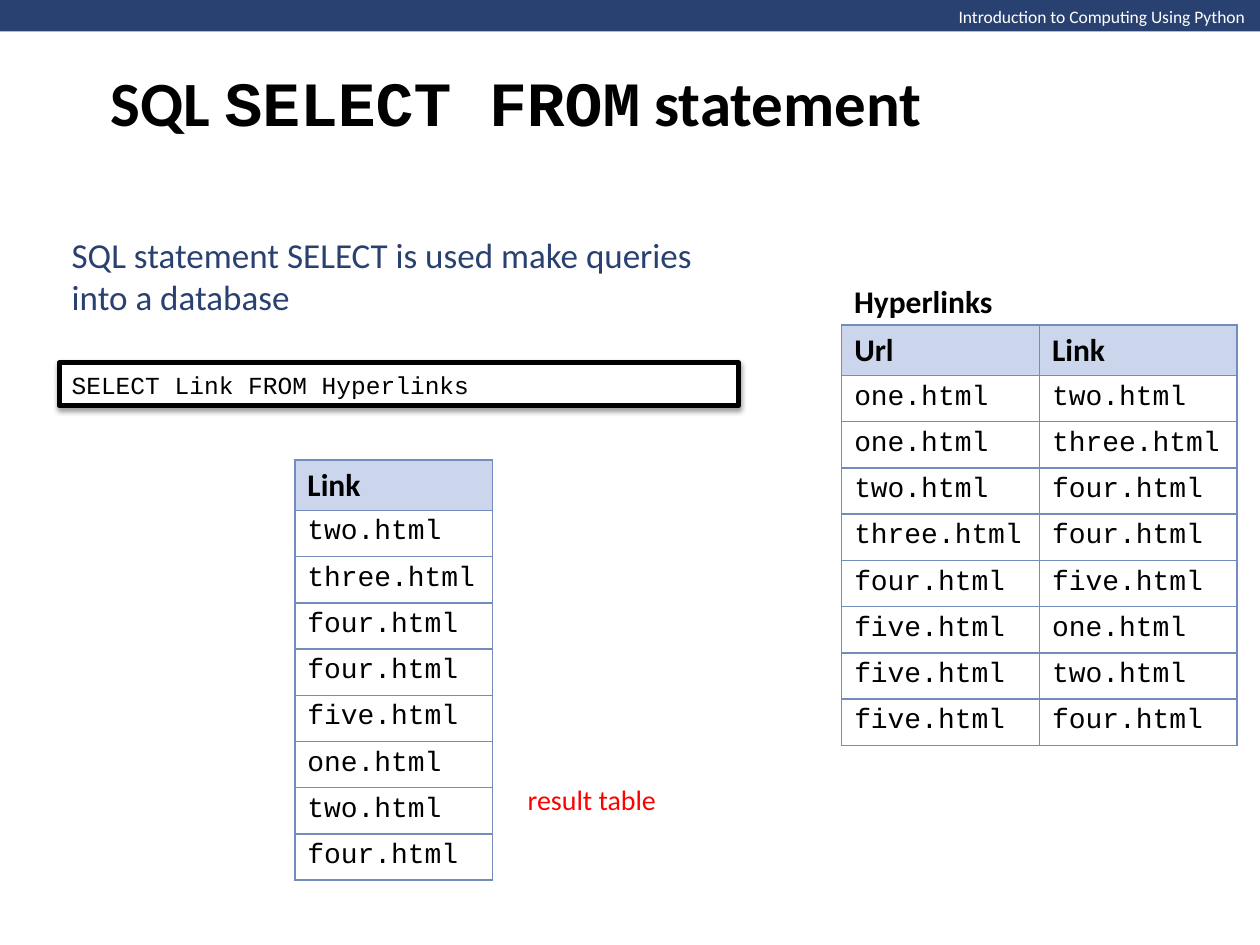
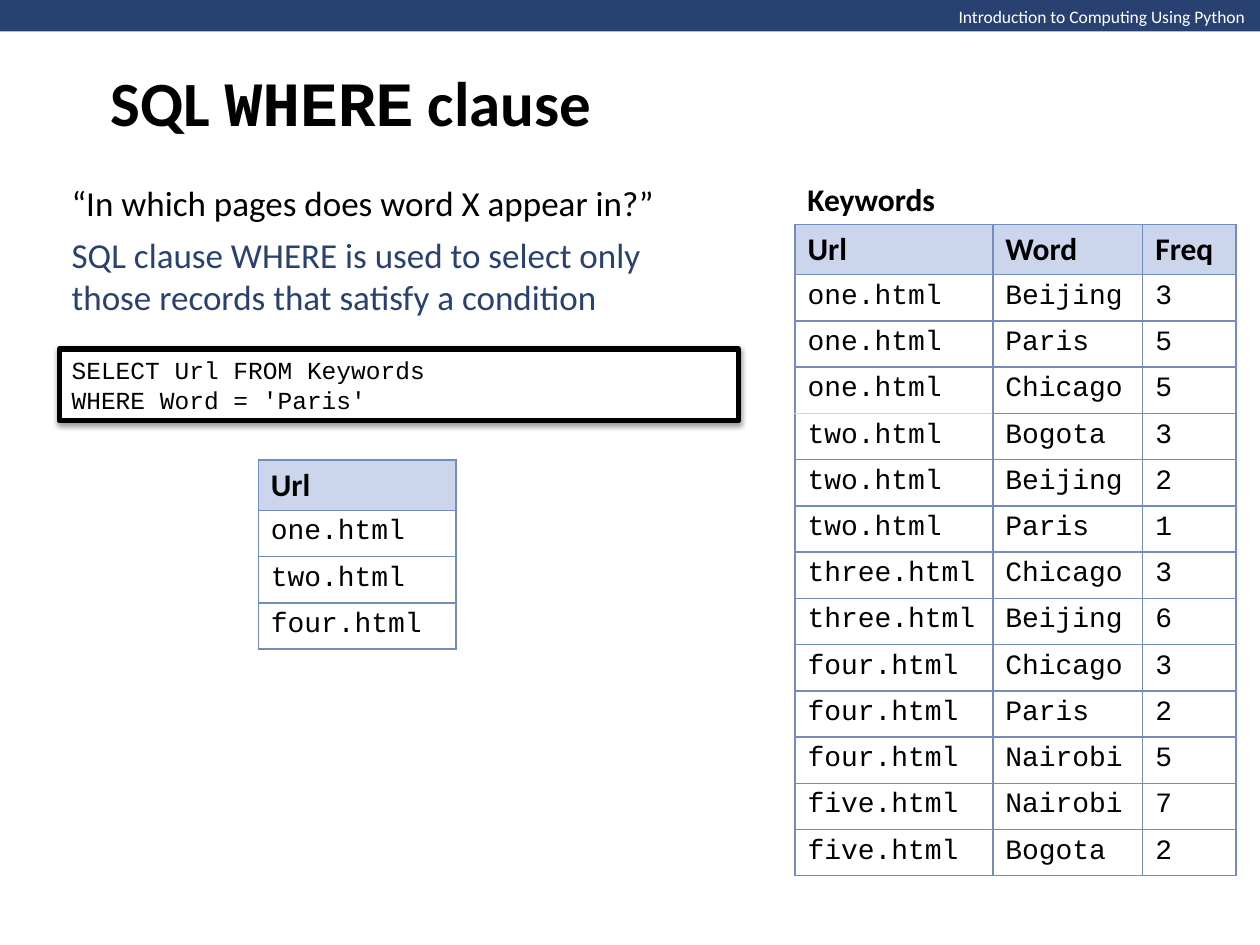
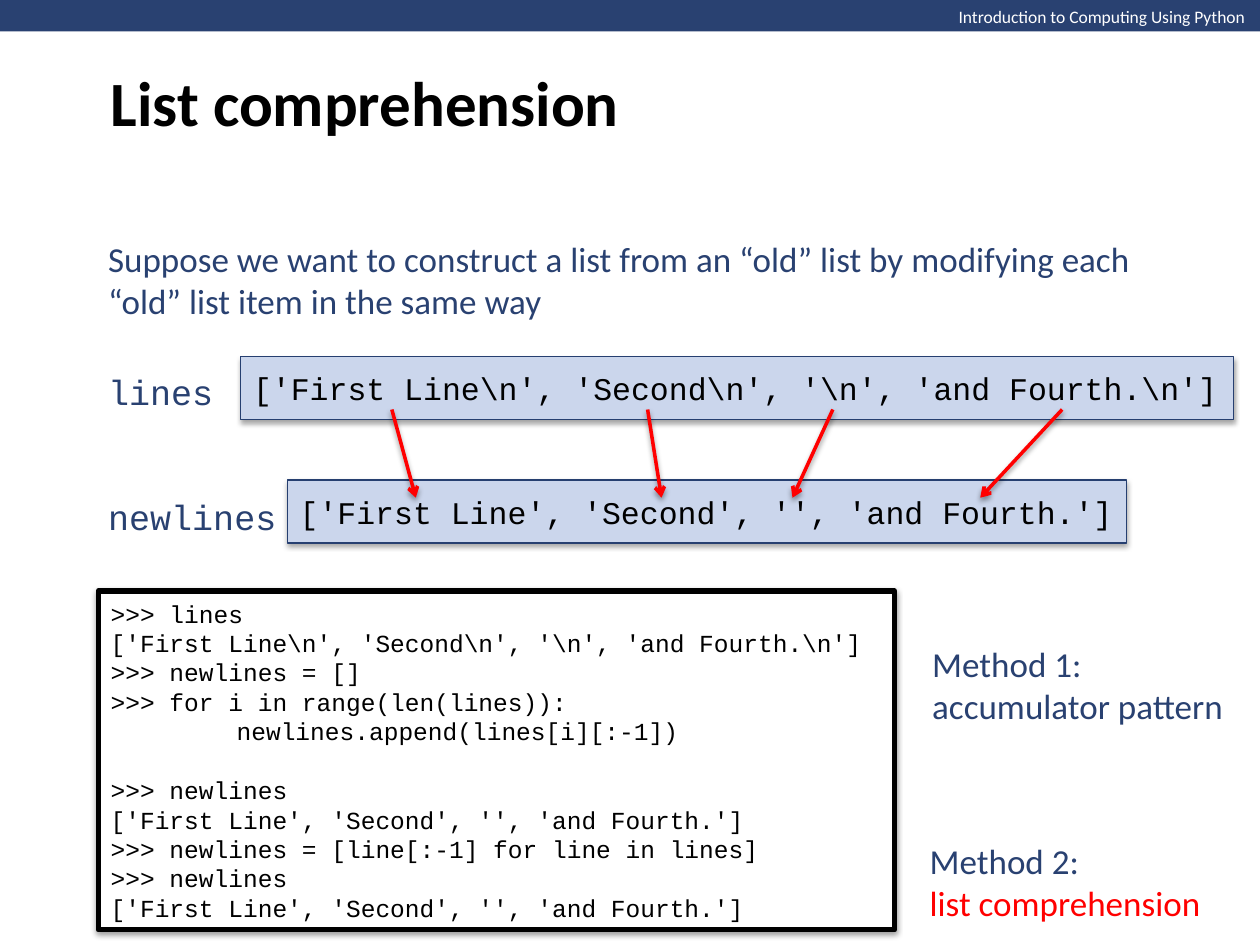
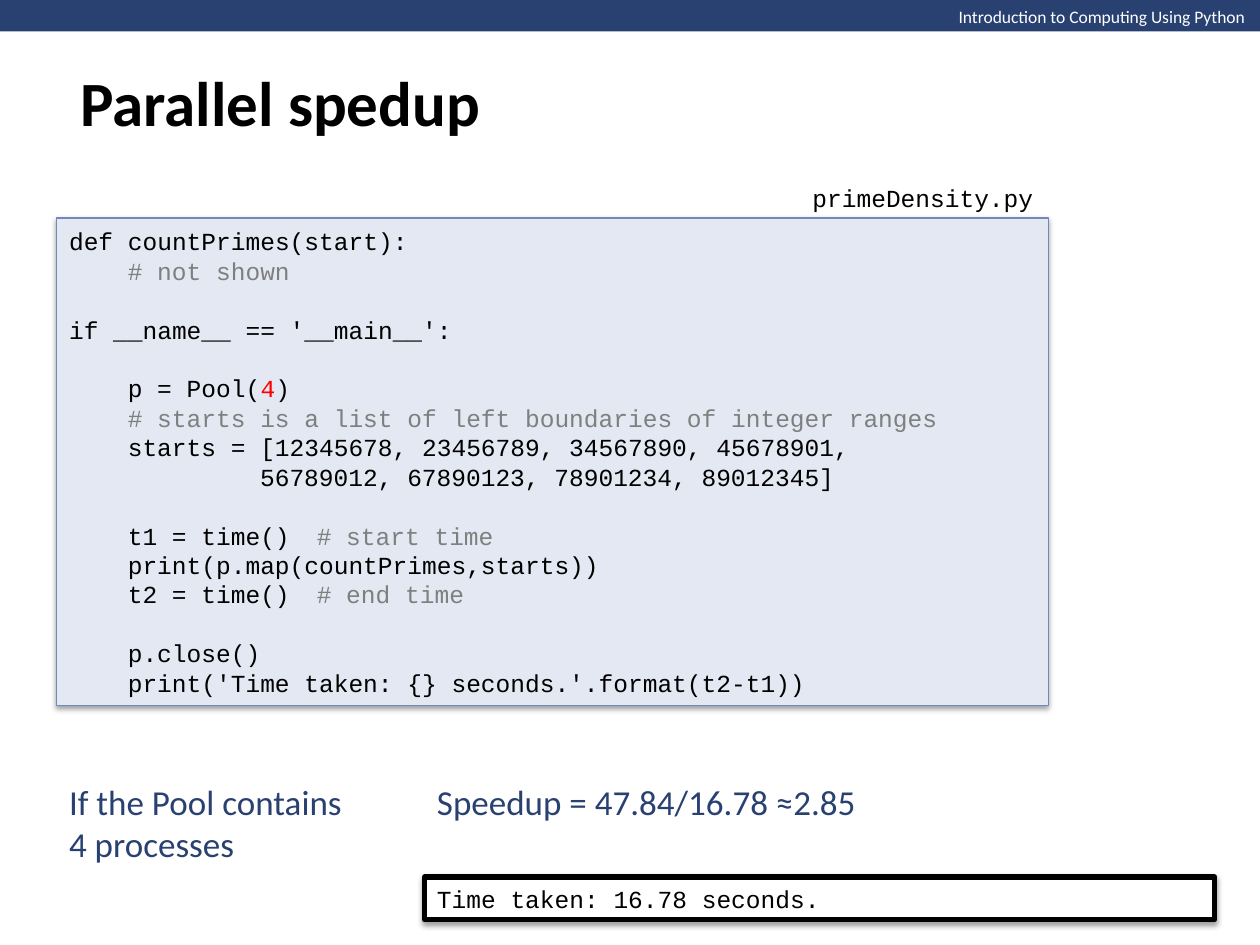
from dataclasses import dataclass
from typing import NamedTuple, Optional, Sequence

from lxml import etree
from pptx import Presentation
from pptx import util as u
from pptx.dml.color import RGBColor
from pptx.enum import shapes, text
from pptx.oxml import ns


# Theme: colours, fonts and type sizes
@dataclass(frozen=True)
class Theme:
    navy: str = "294171"
    outline: str = "263F70"
    border: str = "748CBC"
    code_border: str = "7088BA"
    pale: str = "CBD6EC"
    code_fill: str = "E3E8F2"
    black: str = "000000"
    white: str = "FFFFFF"
    grey: str = "7F7F7F"
    red: str = "FF0000"
    sans: str = "Calibri"
    mono: str = "Courier New"
    title: int = 36
    body: int = 20
    heading: int = 18
    cell: int = 16
    code: int = 14
    band: int = 10


THEME = Theme()
COURSE = "Introduction to Computing Using Python"
CODE_COLUMN = 8.4 / 72  # width of one code character, in inches
CODE_LINE = 16.8  # height of one code line, in points


class Box(NamedTuple):
    left: float
    top: float
    width: float
    height: float

    def lengths(self) -> list:
        return [u.Inches(value) for value in self]


class Style(NamedTuple):
    font: str
    size: int
    color: str
    bold: bool = False


class Run(NamedTuple):
    text: str
    color: Optional[str] = None
    font: Optional[str] = None


class Line(NamedTuple):
    runs: Sequence[Run]
    indent: float = 0
    tab: float = 0
    blank_above: int = 0


class Panel(NamedTuple):
    fill: str
    line: str
    weight: float
    opacity: int = 38


class TableSpec(NamedTuple):
    box: Box
    columns: Sequence[float]
    row_height: float
    rows: Sequence[Sequence[str]]
    pale_edge: Optional[int] = None  # row whose first cell has a pale lower edge


TITLE = Style(THEME.sans, THEME.title, THEME.black, True)
BODY = Style(THEME.sans, THEME.body, THEME.navy)
HEADING = Style(THEME.sans, THEME.heading, THEME.black, True)
CELL = Style(THEME.mono, THEME.cell, THEME.black)
CODE = Style(THEME.mono, THEME.code, THEME.black)
LIST_ITEMS = Style(THEME.mono, THEME.heading, THEME.black)
VARIABLE = Style(THEME.mono, THEME.body, THEME.navy)

SHELL = Panel(THEME.white, THEME.black, 3)
LIST_PANEL = Panel(THEME.pale, THEME.outline, 0.75, 35)
SOURCE = Panel(THEME.code_fill, THEME.code_border, 0.75)


# Text
def plain(*lines: str) -> list[Line]:
    return [Line([Run(line)]) for line in lines]


def code(content: str, columns: int = 0, color: Optional[str] = None,
         blank_above: int = 0) -> Line:
    return Line([Run(content, color)], columns * CODE_COLUMN, 0, blank_above)


def write(frame, lines: Sequence[Line], style: Style) -> None:
    for index, line in enumerate(lines):
        paragraph = frame.paragraphs[0] if index == 0 else frame.add_paragraph()
        paragraph.alignment = text.PP_ALIGN.LEFT
        if line.blank_above:
            paragraph.space_before = u.Pt(line.blank_above * CODE_LINE)
        properties = paragraph._p.get_or_add_pPr()
        if line.indent:
            properties.set("marL", str(u.Inches(line.indent)))
            properties.set("indent", "0")
        if line.tab:
            stops = etree.SubElement(properties, ns.qn("a:tabLst"))
            etree.SubElement(stops, ns.qn("a:tab"),
                             pos=str(u.Inches(line.tab)), algn="l")
        for item in line.runs:
            run = paragraph.add_run()
            run.text = item.text
            run.font.name = item.font or style.font
            run.font.size = u.Pt(style.size)
            run.font.bold = style.bold
            run.font.color.rgb = RGBColor.from_string(item.color or style.color)


def add_text(slide, box: Box, lines: Sequence[Line], style: Style,
             wrap: bool = True, grow: bool = True,
             anchor=text.MSO_ANCHOR.MIDDLE) -> None:
    frame = slide.shapes.add_textbox(*box.lengths()).text_frame
    frame.word_wrap = wrap
    frame.vertical_anchor = anchor
    if grow:
        frame.auto_size = text.MSO_AUTO_SIZE.SHAPE_TO_FIT_TEXT
    write(frame, lines, style)


# Panels and arrows
def add_solid_fill(parent, color: str) -> None:
    fill = etree.SubElement(parent, ns.qn("a:solidFill"))
    etree.SubElement(fill, ns.qn("a:srgbClr"), val=color)


def add_shadow(shape, opacity: int = 38) -> None:
    effects = etree.SubElement(shape._element.spPr, ns.qn("a:effectLst"))
    shadow = etree.SubElement(
        effects, ns.qn("a:outerShdw"), blurRad=str(u.Pt(3.1)),
        dist=str(u.Pt(1.7)), dir="5400000", rotWithShape="0")
    color = etree.SubElement(shadow, ns.qn("a:srgbClr"), val=THEME.black)
    etree.SubElement(color, ns.qn("a:alpha"), val=str(opacity * 1000))


def add_panel(slide, box: Box, panel: Panel, lines: Sequence[Line],
              style: Style = CODE, grow: bool = True) -> None:
    shape = slide.shapes.add_shape(shapes.MSO_SHAPE.RECTANGLE, *box.lengths())
    shape.fill.solid()
    shape.fill.fore_color.rgb = RGBColor.from_string(panel.fill)
    shape.line.color.rgb = RGBColor.from_string(panel.line)
    shape.line.width = u.Pt(panel.weight)
    add_shadow(shape, panel.opacity)
    frame = shape.text_frame
    frame.word_wrap = True
    frame.vertical_anchor = text.MSO_ANCHOR.MIDDLE
    if grow:
        frame.auto_size = text.MSO_AUTO_SIZE.SHAPE_TO_FIT_TEXT
    write(frame, lines, style)


def add_arrow(slide, start_x: float, start_y: float,
              end_x: float, end_y: float) -> None:
    ends = [u.Inches(value) for value in (start_x, start_y, end_x, end_y)]
    arrow = slide.shapes.add_connector(shapes.MSO_CONNECTOR.STRAIGHT, *ends)
    arrow.line.color.rgb = RGBColor.from_string(THEME.red)
    arrow.line.width = u.Pt(2)
    etree.SubElement(arrow.line._get_or_add_ln(), ns.qn("a:tailEnd"), type="arrow")
    add_shadow(arrow)


# Tables
def set_borders(cell, pale_side: Optional[str]) -> None:
    properties = cell._tc.get_or_add_tcPr()
    for position, side in enumerate(("lnL", "lnR", "lnT", "lnB")):
        line = etree.Element(ns.qn(f"a:{side}"), w=str(u.Pt(1)))
        add_solid_fill(line, THEME.pale if side == pale_side else THEME.border)
        properties.insert(position, line)


def add_data_table(slide, spec: TableSpec) -> None:
    graphic = slide.shapes.add_table(
        len(spec.rows), len(spec.columns), *spec.box.lengths())
    table = graphic.table
    for column, width in zip(table.columns, spec.columns):
        column.width = u.Inches(width)
    for row_index, values in enumerate(spec.rows):
        header = row_index == 0
        table.rows[row_index].height = u.Inches(
            spec.row_height + (0.03 if header else 0))
        for column_index, value in enumerate(values):
            cell = table.cell(row_index, column_index)
            cell.fill.solid()
            cell.fill.fore_color.rgb = RGBColor.from_string(
                THEME.pale if header else THEME.white)
            pale_side = None
            if spec.pale_edge is not None and column_index == 0:
                pale_side = {spec.pale_edge: "lnB",
                             spec.pale_edge + 1: "lnT"}.get(row_index)
            set_borders(cell, pale_side)
            write(cell.text_frame, plain(value), HEADING if header else CELL)
    graphic.height = u.Inches(spec.box.height)


# Frame shared by all slides: band, course name and title
def add_slide(presentation, title: Sequence[Run],
              title_box: Box = Box(0.78, 0, 8.5, 1.61)):
    slide = presentation.slides.add_slide(presentation.slide_layouts[6])
    band = slide.shapes.add_shape(
        shapes.MSO_SHAPE.RECTANGLE, *Box(0, 0, 10.01, 0.25).lengths())
    band.shadow.inherit = False
    band.fill.solid()
    band.fill.fore_color.rgb = RGBColor.from_string(THEME.navy)
    band.line.fill.background()
    add_text(slide, Box(7.51, 0, 2.5, 0.27), plain(COURSE),
             Style(THEME.sans, THEME.band, THEME.white),
             wrap=False, anchor=text.MSO_ANCHOR.TOP)
    add_text(slide, title_box, [Line(title)], TITLE, grow=False)
    return slide


INTRO_BOX = Box(0.47, 1.8, 5.39, 0.77)

LINKS = [
    ("Url", "Link"),
    ("one.html", "two.html"),
    ("one.html", "three.html"),
    ("two.html", "four.html"),
    ("three.html", "four.html"),
    ("four.html", "five.html"),
    ("five.html", "one.html"),
    ("five.html", "two.html"),
    ("five.html", "four.html"),
]

KEYWORDS = [
    ("Url", "Word", "Freq"),
    ("one.html", "Beijing", "3"),
    ("one.html", "Paris", "5"),
    ("one.html", "Chicago", "5"),
    ("two.html", "Bogota", "3"),
    ("two.html", "Beijing", "2"),
    ("two.html", "Paris", "1"),
    ("three.html", "Chicago", "3"),
    ("three.html", "Beijing", "6"),
    ("four.html", "Chicago", "3"),
    ("four.html", "Paris", "2"),
    ("four.html", "Nairobi", "5"),
    ("five.html", "Nairobi", "7"),
    ("five.html", "Bogota", "2"),
]

OLD_LIST = r"['First Line\n', 'Second\n', '\n', 'and Fourth.\n']"
NEW_LIST = "['First Line', 'Second', '', 'and Fourth.']"


# Slide 1: SELECT FROM
def build_select(presentation) -> None:
    slide = add_slide(presentation, [
        Run("SQL "), Run("SELECT FROM", font=THEME.mono), Run(" statement")])
    link_column = [(link,) for _, link in LINKS]
    add_data_table(slide, TableSpec(
        Box(2.34, 3.65, 1.57, 3.33), [1.57], 0.31, link_column))
    add_data_table(slide, TableSpec(
        Box(6.68, 2.58, 3.13, 3.33), [1.57, 1.57], 0.31, LINKS))
    add_panel(slide, Box(0.47, 2.88, 5.39, 0.34), SHELL,
              plain("SELECT Link FROM Hyperlinks"))
    add_text(slide, Box(6.68, 2.19, 1.31, 0.4), plain("Hyperlinks"),
             HEADING, wrap=False)
    add_text(slide, INTRO_BOX, plain(
        "SQL statement SELECT is used make queries into a database"), BODY)
    add_text(slide, Box(4.09, 6.16, 1.24, 0.37), plain("result table"),
             Style(THEME.sans, THEME.cell, THEME.red), wrap=False)


# Slide 2: WHERE
def build_where(presentation) -> None:
    slide = add_slide(presentation, [
        Run("SQL "), Run("WHERE", font=THEME.mono), Run(" clause")])
    add_text(slide, INTRO_BOX, plain(
        "SQL clause WHERE is used to select only those records "
        "that satisfy a condition"), BODY)
    add_panel(slide, Box(0.47, 2.77, 5.39, 0.57), SHELL,
              plain("SELECT Url FROM Keywords", "WHERE Word = 'Paris'"))
    add_text(slide, Box(6.31, 1.38, 1.24, 0.4), plain("Keywords"),
             HEADING, wrap=False)
    add_data_table(slide, TableSpec(
        Box(6.31, 1.78, 3.5, 5.17), [1.57, 1.19, 0.74], 0.32, KEYWORDS,
        pale_edge=3))
    paris_pages = [("Url",)] + [
        (url,) for url, word, _ in KEYWORDS if word == "Paris"]
    add_data_table(slide, TableSpec(
        Box(2.05, 3.65, 1.57, 1.5), [1.57], 0.32, paris_pages))
    add_text(slide, Box(0.47, 1.39, 4.86, 0.44),
             plain("“In which pages does word X appear in?”"),
             BODY._replace(color=THEME.black), wrap=False)


# Slide 3: list comprehension
def build_comprehension(presentation) -> None:
    slide = add_slide(presentation, [Run("List comprehension")])
    add_text(slide, Box(0.76, 1.83, 8.5, 0.77), plain(
        "Suppose we want to construct a list from an “old” list by modifying "
        "each “old” list item in the same way"), BODY)
    for box, items in ((Box(1.91, 2.83, 7.88, 0.5), OLD_LIST),
                       (Box(2.28, 3.81, 6.66, 0.5), NEW_LIST)):
        add_panel(slide, box, LIST_PANEL, plain(items), LIST_ITEMS, grow=False)
    for start_x, end_x in ((3.11, 3.3), (5.14, 5.25), (6.61, 6.29), (8.43, 7.78)):
        add_arrow(slide, start_x, 3.25, end_x, 3.95)
    add_panel(slide, Box(0.78, 4.69, 6.32, 2.69), SHELL, [
        *plain(">>> lines", OLD_LIST, ">>> newlines = []",
               ">>> for i in range(len(lines)):"),
        Line([Run("newlines.append(lines[i][:-1])")], indent=1),
        code(">>> newlines", blank_above=1),
        *plain(NEW_LIST, ">>> newlines = [line[:-1] for line in lines]",
               ">>> newlines", NEW_LIST),
    ])
    add_text(slide, Box(7.3, 5.05, 2.72, 0.77),
             plain("Method 1: accumulator pattern"), BODY)
    add_text(slide, Box(7.28, 6.61, 2.72, 0.77), [
        Line([Run("Method 2:")]),
        Line([Run("list comprehension", THEME.red)])], BODY)
    add_text(slide, Box(0.76, 2.89, 1.21, 0.44), plain("lines"),
             VARIABLE, wrap=False)
    add_text(slide, Box(0.76, 3.88, 1.72, 0.44), plain("newlines"),
             VARIABLE, wrap=False)


# Slide 4: parallel speedup
def timed(call: str, comment: str, column: int, blank_above: int = 0) -> Line:
    return Line([Run(call + "\t"), Run(comment, THEME.grey)],
                4 * CODE_COLUMN, column * CODE_COLUMN, blank_above)


def build_speedup(presentation) -> None:
    slide = add_slide(presentation, [Run("Parallel spedup")],
                      Box(0.54, 0, 9.46, 1.61))
    add_panel(slide, Box(0.45, 1.73, 7.87, 3.87), SOURCE, [
        code("def countPrimes(start):"),
        code("# not shown", 4, THEME.grey),
        code("if __name__ == '__main__':", blank_above=1),
        Line([Run("p = Pool("), Run("4", THEME.red), Run(")")],
             4 * CODE_COLUMN, blank_above=1),
        code("# starts is a list of left boundaries of integer ranges",
             4, THEME.grey),
        code("starts = [12345678, 23456789, 34567890, 45678901,", 4),
        code("56789012, 67890123, 78901234, 89012345]", 13),
        timed("t1 = time()", "# start time", 36, blank_above=1),
        code("print(p.map(countPrimes,starts))", 4),
        timed("t2 = time()", "# end time", 37),
        code("p.close()", 4, blank_above=1),
        code("print('Time taken: {} seconds.'.format(t2-t1))", 4),
    ])
    add_text(slide, Box(6.35, 1.4, 1.97, 0.34), plain("primeDensity.py"),
             CODE, wrap=False)
    add_text(slide, Box(0.45, 6.14, 2.48, 0.77),
             plain("If the Pool contains 4 processes"), BODY)
    add_panel(slide, Box(3.37, 6.96, 6.27, 0.34), SHELL,
              plain("Time taken: 16.78 seconds."))
    add_text(slide, Box(3.37, 6.14, 3.94, 0.44),
             plain("Speedup = 47.84/16.78 ≈2.85"), BODY)


def main() -> None:
    presentation = Presentation()
    presentation.slide_width = u.Inches(10)
    presentation.slide_height = u.Inches(7.5)
    for build in (build_select, build_where, build_comprehension, build_speedup):
        build(presentation)
    presentation.save("out.pptx")


if __name__ == "__main__":
    main()
